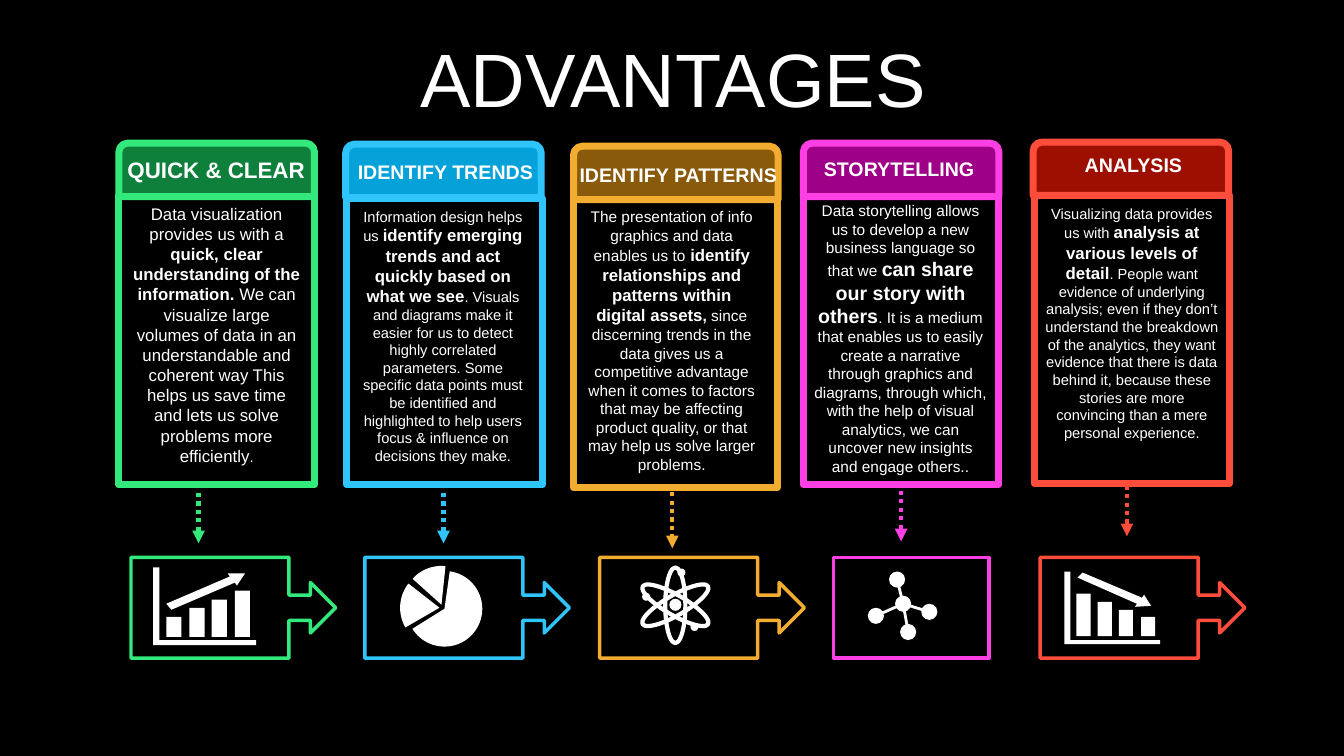
"""Build the ADVANTAGES slide: five cards with arrows leading to icon panels."""
from math import cos, radians, sin

from lxml.etree import SubElement
from pptx import Presentation
from pptx.dml.color import RGBColor
from pptx.enum.dml import MSO_LINE
from pptx.enum.shapes import MSO_CONNECTOR, MSO_SHAPE
from pptx.enum.text import MSO_ANCHOR, PP_ALIGN
from pptx.oxml.ns import qn
from pptx.util import Inches, Pt

CELL = Inches(0.01)
COLUMNS, ROWS = 1333.33, 750
WHITE, BLACK = "FFFFFF", "000000"

presentation = Presentation()
presentation.slide_width, presentation.slide_height = int(COLUMNS * CELL), ROWS * CELL
slide = presentation.slides.add_slide(presentation.slide_layouts[6])
shapes = slide.shapes


def paint(fill, colour):
    """Give a fill one solid colour, or none."""
    if colour:
        fill.solid()
        fill.fore_color.rgb = RGBColor.from_string(colour)
    else:
        fill.background()


def write(box, runs, anchor=MSO_ANCHOR.TOP):
    """Write centred white runs of (text, size, bold) in a box of grid cells."""
    frame = shapes.add_textbox(*(CELL * length for length in box)).text_frame
    for name, value in {"word_wrap": True, "vertical_anchor": anchor}.items():
        setattr(frame, name, value)
    paragraph = frame.paragraphs[0]
    paragraph.alignment = PP_ALIGN.CENTER
    for text, size, bold in runs:
        run = paragraph.add_run()
        run.text = text
        for name, value in {"name": "Arial", "size": Pt(size), "bold": bold}.items():
            setattr(run.font, name, value)
        paint(run.font.fill, WHITE)


paint(slide.background.fill, BLACK)
write((35, 37, 1266, 79), [("ADVANTAGES", 54, False)], MSO_ANCHOR.MIDDLE)

cards = [
    {"bright": "33E97C", "dark": "0E803C", "body": (118, 194, 194, 287), "tab": (118, 142, 194, 53),
     "heading": ("QUICK & CLEAR", 16, (113, 150, 203, 37)), "text": (121, 197, 188, 286),
     "arrow": (197, 489, 539), "panel": 130,
     "runs": [("Data visualization provides us with a ", 12, False),
              ("quick, clear understanding of the information. ", 12, True),
              ("We can visualize large volumes of data in an understandable and coherent way "
               "This helps us save time and lets us solve problems more efficiently", 12, False),
              (".", 10.5, False)]},
    {"bright": "2FC5FA", "dark": "05A2DA", "body": (344, 197, 194, 284), "tab": (343, 143, 194, 53),
     "heading": ("IDENTIFY TRENDS", 14, (320, 154, 244, 34)), "text": (344, 201, 191, 268),
     "arrow": (440, 489, 539), "panel": 362,
     "runs": [("Information design helps us ", 10.5, False),
              ("identify emerging trends and act quickly based on what we see", 12, True),
              (". Visuals and diagrams make it easier for us to detect highly correlated "
               "parameters. Some specific data points must be identified and highlighted to help "
               "users focus & influence on decisions they make.", 10.5, False)]},
    {"bright": "F2AC30", "dark": "885A09", "body": (569, 198, 202, 286), "tab": (569, 145, 203, 53),
     "heading": ("IDENTIFY PATTERNS", 14, (548, 157, 250, 34)), "text": (571, 201, 191, 295),
     "arrow": (667, 480, 544), "panel": 595,
     "runs": [("The presentation of info graphics and data enables us to", 11, False),
              (" ", 12, False),
              ("identify relationships and patterns within digital assets", 12, True),
              (",", 11, True),
              (" since discerning trends in the data gives us a competitive advantage when it "
               "comes to factors that may be affecting product quality, or that may help us solve "
               "larger problems.", 11, False)]},
    {"bright": "FE3FE4", "dark": "9E0188", "body": (797, 186, 194, 295), "tab": (797, 142, 194, 53),
     "heading": ("STORYTELLING", 14, (798, 151, 188, 34)), "text": (798, 195, 191, 284),
     "arrow": (894, 487, 537), "panel": 827,
     "runs": [("Data storytelling allows us to develop a new business language so that we ", 11, False),
              ("can share our story with others", 14, True),
              (". It is a medium that enables us to easily create a narrative through graphics and "
               "diagrams, through which, with the help of visual analytics, we can uncover new "
               "insights and engage others..", 11, False)]},
    {"bright": "FE4D3B", "dark": "9C0F01", "body": (1026, 194, 194, 286), "tab": (1025, 141, 194, 53),
     "heading": ("ANALYSIS", 14, (1036, 147, 177, 40)), "text": (1026, 198, 194, 265),
     "arrow": (1118, 482, 532), "panel": 1032,
     "runs": [("Visualizing data provides us with ", 10.5, False),
              ("analysis at various levels of detail", 12, True),
              (". People want evidence of underlying analysis; even if they don’t understand the "
               "breakdown of the analytics, they want evidence that there is data behind it, because "
               "these stories are more convincing than a mere personal experience.", 10.5, False)]},
]

outlined, lines = [], []
for card in cards:
    plain_panel = card["heading"][0] == "STORYTELLING"
    panel_kind = MSO_SHAPE.RECTANGLE if plain_panel else MSO_SHAPE.RIGHT_ARROW_CALLOUT
    panel_box = (card["panel"], 553, 154 if plain_panel else 203, 100)
    for kind, box, fill, width in [
        (MSO_SHAPE.RECTANGLE, card["body"], BLACK, 5),
        (MSO_SHAPE.ROUND_2_SAME_RECTANGLE, card["tab"], card["dark"], 5),
        (panel_kind, panel_box, BLACK, 2.5),
    ]:
        shape = shapes.add_shape(kind, *(CELL * length for length in box))
        if kind == MSO_SHAPE.RIGHT_ARROW_CALLOUT:
            shape.adjustments[3] = 0.772
        outlined.append((shape, fill, card["bright"], width))
    heading, size, heading_box = card["heading"]
    write(heading_box, [(heading, size, True)])
    write(card["text"], card["runs"])
    x, top, bottom = card["arrow"]
    lines.append(((x, top, x, bottom), card["bright"], 3, True))

growth_icon = [[(x, top), (x + 15, top), (x + 15, 632), (x, 632)]
               for x, top in [(165, 612), (188, 603), (210, 595), (233, 586)]]
growth_icon += [
    [(226, 569), (243, 569), (235, 581), (233, 578), (170, 605), (165, 599), (228, 572)],
    [(152, 563), (158, 563), (158, 635), (254, 635), (254, 640), (152, 640)],
]
decline_icon = [[(x, top), (x + 14, top), (x + 14, 631), (x, 631)]
                for x, top in [(1068, 589), (1089, 597), (1110, 605), (1132, 612)]]
decline_icon += [
    [(1074, 568), (1133, 593), (1135, 590), (1142, 601), (1126, 602), (1128, 599), (1069, 573)],
    [(1056, 567), (1062, 567), (1062, 635), (1151, 635), (1151, 639), (1056, 639)],
]
pie_icon = [
    [(x, y)] + [(x + radius * cos(radians(angle)), y + radius * sin(radians(angle)))
                for angle in range(start, end + 1, 2)]
    for x, y, radius, start, end in [(441, 604, 37.5, -82, 148), (436, 603, 39, 150, 218),
                                     (438, 600, 38.5, 222, 276)]
]
for icon in (growth_icon, pie_icon, decline_icon):
    builder = shapes.build_freeform(*(CELL * length for length in icon[0][0]))
    for outline in icon:
        points = [(CELL * x, CELL * y) for x, y in outline]
        builder.move_to(*points[0])
        builder.add_line_segments(points[1:], close=True)
    outlined.append((builder.convert_to_shape(), WHITE, None, 0))

for angle in (0, 60, 120):
    orbit = shapes.add_shape(MSO_SHAPE.OVAL, 660 * CELL, 563 * CELL, 20 * CELL, 75 * CELL)
    orbit.rotation = angle
    outlined.append((orbit, None, WHITE, 3))

hub, *nodes = [(896, 599), (890, 575), (922, 607), (901, 627), (869, 611)]
lines += [((*hub, *node), WHITE, 2, False) for node in nodes]
atom_dots = [(670, 600, 6), (676, 568, 4), (641, 592, 4), (689, 622, 4)]
for x, y, radius in atom_dots + [(*node, 8) for node in [hub, *nodes]]:
    box = (x - radius, y - radius, 2 * radius, 2 * radius)
    dot = shapes.add_shape(MSO_SHAPE.OVAL, *(CELL * length for length in box))
    outlined.append((dot, WHITE, None, 0))

for shape, fill, line, width in outlined:
    shape.shadow.inherit = False
    paint(shape.fill, fill)
    paint(shape.line.fill, line)
    if line:
        shape.line.width = Pt(width)

for ends, colour, width, is_arrow in lines:
    connector = shapes.add_connector(MSO_CONNECTOR.STRAIGHT, *(CELL * length for length in ends))
    paint(connector.line.fill, colour)
    connector.line.width = Pt(width)
    properties = connector._element.spPr
    if is_arrow:
        connector.line.dash_style = MSO_LINE.ROUND_DOT
        SubElement(properties.find(qn("a:ln")), qn("a:tailEnd"), type="triangle")
    SubElement(properties, qn("a:effectLst"))

presentation.save("out.pptx")
